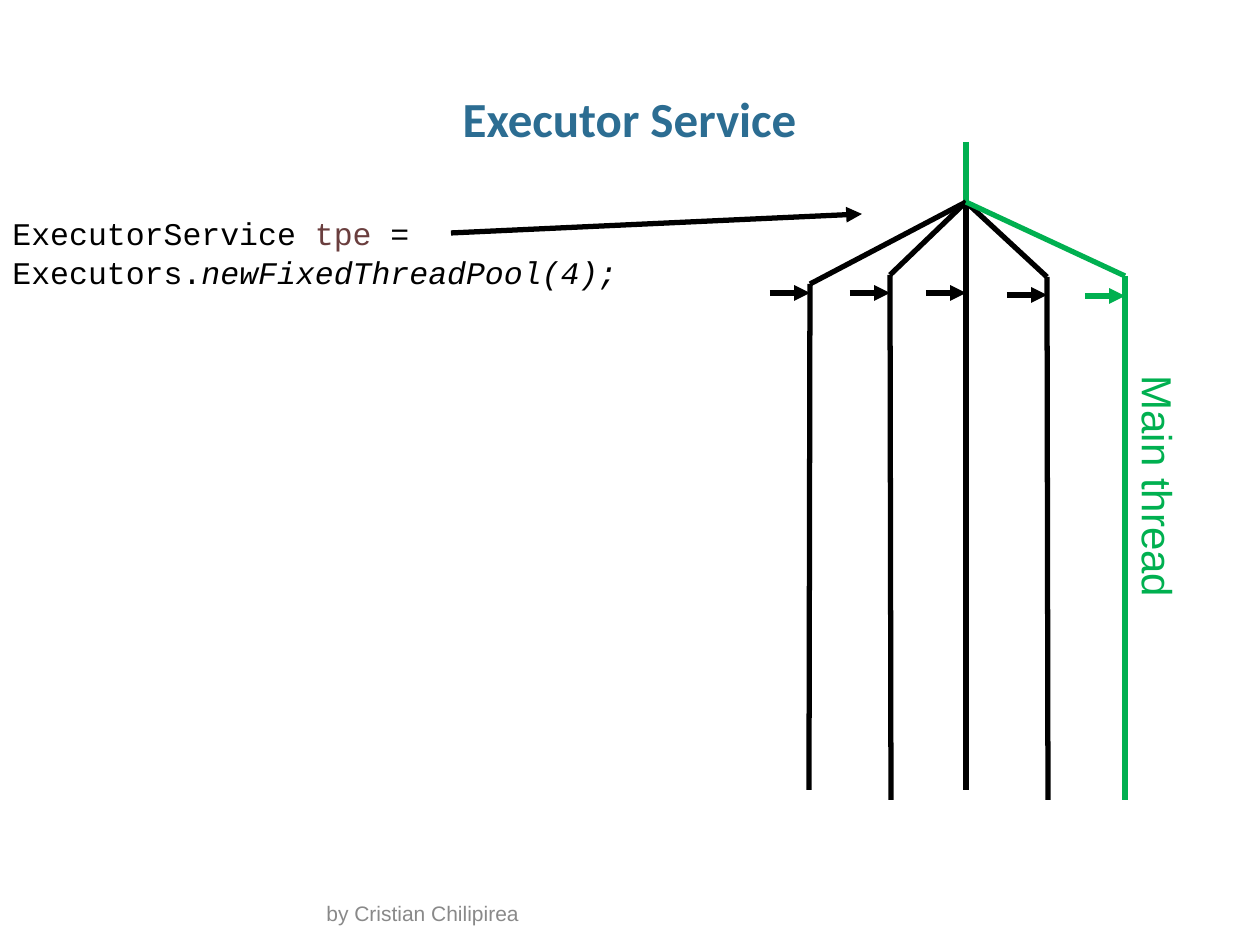
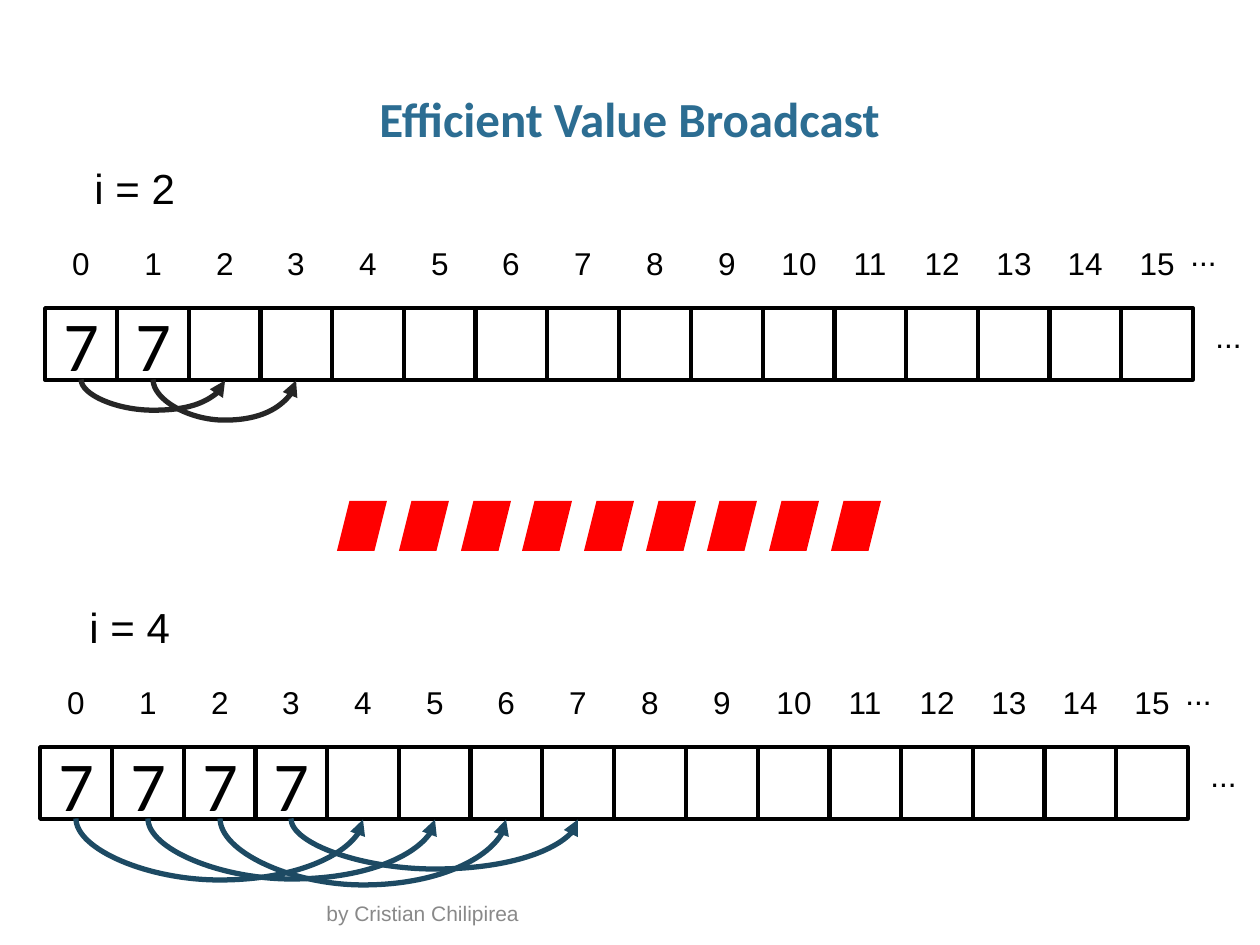
"""Build two slides on thread pools and value broadcasting."""
from dataclasses import dataclass

from lxml.etree import SubElement
from pptx import Presentation
from pptx.dml.color import RGBColor
from pptx.enum.shapes import MSO_CONNECTOR as Connector, MSO_SHAPE as Preset
from pptx.enum.text import MSO_ANCHOR as Anchor, MSO_AUTO_SIZE as AutoSize, PP_ALIGN as Align
from pptx.oxml.ns import qn
from pptx.util import Emu, Pt


@dataclass(frozen=True)
class Theme:
    title: str = "2C6D92"
    black: str = "000000"
    green: str = "00B050"
    variable: str = "6A3E3E"
    footer: str = "898989"
    first_arc: str = "262626"
    second_arc: str = "1D4A63"
    divider: str = "FF0000"
    title_font: str = "Calibri"
    body_font: str = "Arial"
    code_font: str = "Courier New"
    title_size: int = 28
    label_size: int = 24
    body_size: int = 18
    value_size: int = 40
    footer_size: int = 12
    line_width: int = 3
    cell_line_width: int = 2


@dataclass(frozen=True)
class Box:
    left: int
    top: int
    width: int
    height: int


@dataclass(frozen=True)
class TextStyle:
    font: str
    size: int
    color: str
    bold: bool = False
    italic: bool = False


@dataclass(frozen=True)
class Thread:
    x: int
    joint_y: int
    foot_x: int
    foot_y: int
    marker_y: int
    color: str


@dataclass(frozen=True)
class BroadcastRow:
    label: str
    left: int
    top: int
    filled: int
    arc_color: str
    arc_depths: tuple[int, ...]


THEME = Theme()
EMU_PER_PX = 914400 / 126
CELL_COUNT = 16
ROW_WIDTH = 1148
CELL_SIZE = 72
DIVIDER_COUNT = 9
HUB = (966, 202)
MARKER_LENGTH = 40

TITLE_STYLE = TextStyle(THEME.title_font, THEME.title_size, THEME.title, bold=True)
FOOTER_STYLE = TextStyle(THEME.body_font, THEME.footer_size, THEME.footer)
BODY_STYLE = TextStyle(THEME.body_font, THEME.body_size, THEME.black)
LABEL_STYLE = TextStyle(THEME.body_font, THEME.label_size, THEME.black)
MAIN_THREAD_STYLE = TextStyle(THEME.body_font, THEME.label_size, THEME.green)
VALUE_STYLE = TextStyle(THEME.title_font, THEME.value_size, THEME.black)
CODE_STYLE = TextStyle(THEME.code_font, THEME.body_size, THEME.black)
VARIABLE_STYLE = TextStyle(THEME.code_font, THEME.body_size, THEME.variable)
METHOD_STYLE = TextStyle(THEME.code_font, THEME.body_size, THEME.black, italic=True)

CODE_LINES = (
    (("ExecutorService ", CODE_STYLE), ("tpe", VARIABLE_STYLE), (" =", CODE_STYLE)),
    (("Executors.", CODE_STYLE), ("newFixedThreadPool(4);", METHOD_STYLE)),
)
THREADS = (
    Thread(810, 284, 809, 790, 293, THEME.black),
    Thread(890, 275, 891, 800, 293, THEME.black),
    Thread(966, 265, 966, 790, 293, THEME.black),
    Thread(1047, 277, 1048, 800, 295, THEME.black),
    Thread(1125, 276, 1125, 800, 296, THEME.green),
)
BROADCAST_ROWS = (
    BroadcastRow("i = 2", 45, 308, 2, THEME.first_arc, (31, 41)),
    BroadcastRow("i = 4", 40, 747, 4, THEME.second_arc, (62, 61, 67, 51)),
)


def px(length: float) -> Emu:
    """Convert pixels to EMU."""
    return Emu(round(length * EMU_PER_PX))


def bounds(box: Box) -> tuple[Emu, Emu, Emu, Emu]:
    """Return the box edges in EMU."""
    return px(box.left), px(box.top), px(box.width), px(box.height)


def add_run(paragraph, text: str, style: TextStyle) -> None:
    """Append a formatted run to a paragraph."""
    run = paragraph.add_run()
    run.text = text
    run.font.name = style.font
    run.font.size = Pt(style.size)
    run.font.bold = style.bold
    run.font.italic = style.italic
    run.font.color.rgb = RGBColor.from_string(style.color)


def add_label(slide, box: Box, text: str, style: TextStyle, align=Align.LEFT):
    """Add a one-line text box that fits its text."""
    shape = slide.shapes.add_textbox(*bounds(box))
    frame = shape.text_frame
    frame.word_wrap = False
    frame.auto_size = AutoSize.SHAPE_TO_FIT_TEXT
    paragraph = frame.paragraphs[0]
    paragraph.alignment = align
    add_run(paragraph, text, style)
    return shape


def style_connector(connector, color: str, arrow: bool) -> None:
    """Set the line of a connector and drop its shadow."""
    connector.line.color.rgb = RGBColor.from_string(color)
    connector.line.width = Pt(THEME.line_width)
    if arrow:
        SubElement(connector.line._get_or_add_ln(), qn("a:tailEnd"), type="triangle")
    SubElement(connector.element.spPr, qn("a:effectLst"))


def add_line(slide, start: tuple[int, int], end: tuple[int, int], color: str,
             arrow: bool = False) -> None:
    """Draw a straight line or arrow."""
    connector = slide.shapes.add_connector(
        Connector.STRAIGHT, px(start[0]), px(start[1]), px(end[0]), px(end[1]))
    style_connector(connector, color, arrow)


def add_arc(slide, source, target, depth: int, color: str) -> None:
    """Join the undersides of two cells with a curved arrow."""
    source_x = source.left + source.width // 2
    target_x = target.left + target.width // 2
    bottom = source.top + source.height
    connector = slide.shapes.add_connector(Connector.CURVE, source_x, bottom, target_x, bottom)
    connector.begin_connect(source, 2)
    connector.end_connect(target, 2)
    span = target_x - source_x
    thickness = px(1)
    connector.left = Emu((source_x + target_x - thickness) // 2)
    connector.top = Emu(bottom - span // 2)
    connector.width, connector.height = thickness, Emu(span)
    transform = connector.element.spPr.find(qn("a:xfrm"))
    for name, value in (("rot", "16200000"), ("flipH", "1"), ("flipV", "0")):
        transform.set(name, value)
    adjustments = connector.element.spPr.find(qn("a:prstGeom")).find(qn("a:avLst"))
    SubElement(adjustments, qn("a:gd"), name="adj1", fmla=f"val {depth * 100000}")
    style_connector(connector, color, arrow=True)


def add_titled_slide(presentation, title: str):
    """Add a slide with the shared title and footer."""
    slide = presentation.slides.add_slide(presentation.slide_layouts[5])
    shape = slide.shapes.title
    shape.left, shape.top, shape.width, shape.height = bounds(Box(43, 86, 1173, 63))
    frame = shape.text_frame
    frame.word_wrap = True
    frame.auto_size = AutoSize.NONE
    frame.vertical_anchor = Anchor.TOP
    frame.margin_left = frame.margin_right = 0
    paragraph = frame.paragraphs[0]
    paragraph.alignment = Align.CENTER
    paragraph.line_spacing = 0.95
    add_run(paragraph, title, TITLE_STYLE)

    footer = slide.shapes.add_textbox(*bounds(Box(314, 902, 633, 30))).text_frame
    footer.word_wrap = True
    footer.vertical_anchor = Anchor.BOTTOM
    add_run(footer.paragraphs[0], "by Cristian Chilipirea", FOOTER_STYLE)
    return slide


def add_code(slide) -> None:
    """Write the thread pool declaration."""
    frame = slide.shapes.add_textbox(*bounds(Box(0, 202, 862, 229))).text_frame
    frame.word_wrap = True
    frame.margin_top = px(12)
    for index, line in enumerate(CODE_LINES):
        paragraph = frame.add_paragraph() if index else frame.paragraphs[0]
        if index:
            paragraph.space_before = Pt(1)
        for text, style in line:
            add_run(paragraph, text, style)


def build_executor_slide(presentation) -> None:
    """Build the slide that forks threads from a pool."""
    slide = add_titled_slide(presentation, "Executor Service")
    add_line(slide, (HUB[0], 142), HUB, THEME.green)
    for thread in THREADS:
        joint = (thread.x, thread.joint_y)
        add_line(slide, HUB, joint, thread.color)
        add_line(slide, joint, (thread.foot_x, thread.foot_y), thread.color)
        add_line(slide, (thread.x - MARKER_LENGTH, thread.marker_y),
                 (thread.x, thread.marker_y), thread.color, arrow=True)
    add_code(slide)
    add_line(slide, (451, 233), (862, 214), THEME.black, arrow=True)
    label = add_label(slide, Box(1034, 456, 249, 63), "Main thread", MAIN_THREAD_STYLE)
    label.rotation = 90


def add_cell(slide, box: Box, value: str):
    """Draw an array cell with an optional value."""
    cell = slide.shapes.add_shape(Preset.RECTANGLE, *bounds(box))
    cell.shadow.inherit = False
    cell.fill.background()
    cell.line.color.rgb = RGBColor.from_string(THEME.black)
    cell.line.width = Pt(THEME.cell_line_width)
    if value:
        cell.text_frame.vertical_anchor = Anchor.MIDDLE
        paragraph = cell.text_frame.paragraphs[0]
        paragraph.alignment = Align.CENTER
        add_run(paragraph, value, VALUE_STYLE)
    return cell


def add_broadcast_row(slide, row: BroadcastRow) -> None:
    """Draw one step of the broadcast with its indices and arrows."""
    cells = []
    for index in range(CELL_COUNT):
        left = row.left + round(index * ROW_WIDTH / CELL_COUNT)
        value = "7" if index < row.filled else ""
        cells.append(add_cell(slide, Box(left, row.top, CELL_SIZE, CELL_SIZE), value))
        add_label(slide, Box(left, row.top - 70, CELL_SIZE, 50), str(index),
                  BODY_STYLE, Align.CENTER)
    for offset_x, offset_y in ((1133, -79), (1158, 3)):
        add_label(slide, Box(row.left + offset_x, row.top + offset_y, 52, 50), "...", BODY_STYLE)
    for index, depth in enumerate(row.arc_depths):
        add_arc(slide, cells[index], cells[index + row.filled], depth, row.arc_color)
    add_label(slide, Box(row.left + 37, row.top - 152, 107, 63), row.label, LABEL_STYLE)


def build_broadcast_slide(presentation) -> None:
    """Build the slide that compares two broadcast steps."""
    slide = add_titled_slide(presentation, "Efficient Value Broadcast")
    for row in BROADCAST_ROWS:
        add_broadcast_row(slide, row)
    for index in range(DIVIDER_COUNT):
        left = 337 + round(index * 494 / (DIVIDER_COUNT - 1))
        mark = slide.shapes.add_shape(Preset.PARALLELOGRAM, *bounds(Box(left, 501, 50, 50)))
        mark.shadow.inherit = False
        mark.fill.solid()
        mark.fill.fore_color.rgb = RGBColor.from_string(THEME.divider)
        mark.line.fill.background()


def main() -> None:
    """Create and save the presentation."""
    presentation = Presentation()
    presentation.slide_width, presentation.slide_height = px(1260), px(945)
    build_executor_slide(presentation)
    build_broadcast_slide(presentation)
    presentation.save("out.pptx")


if __name__ == "__main__":
    main()
